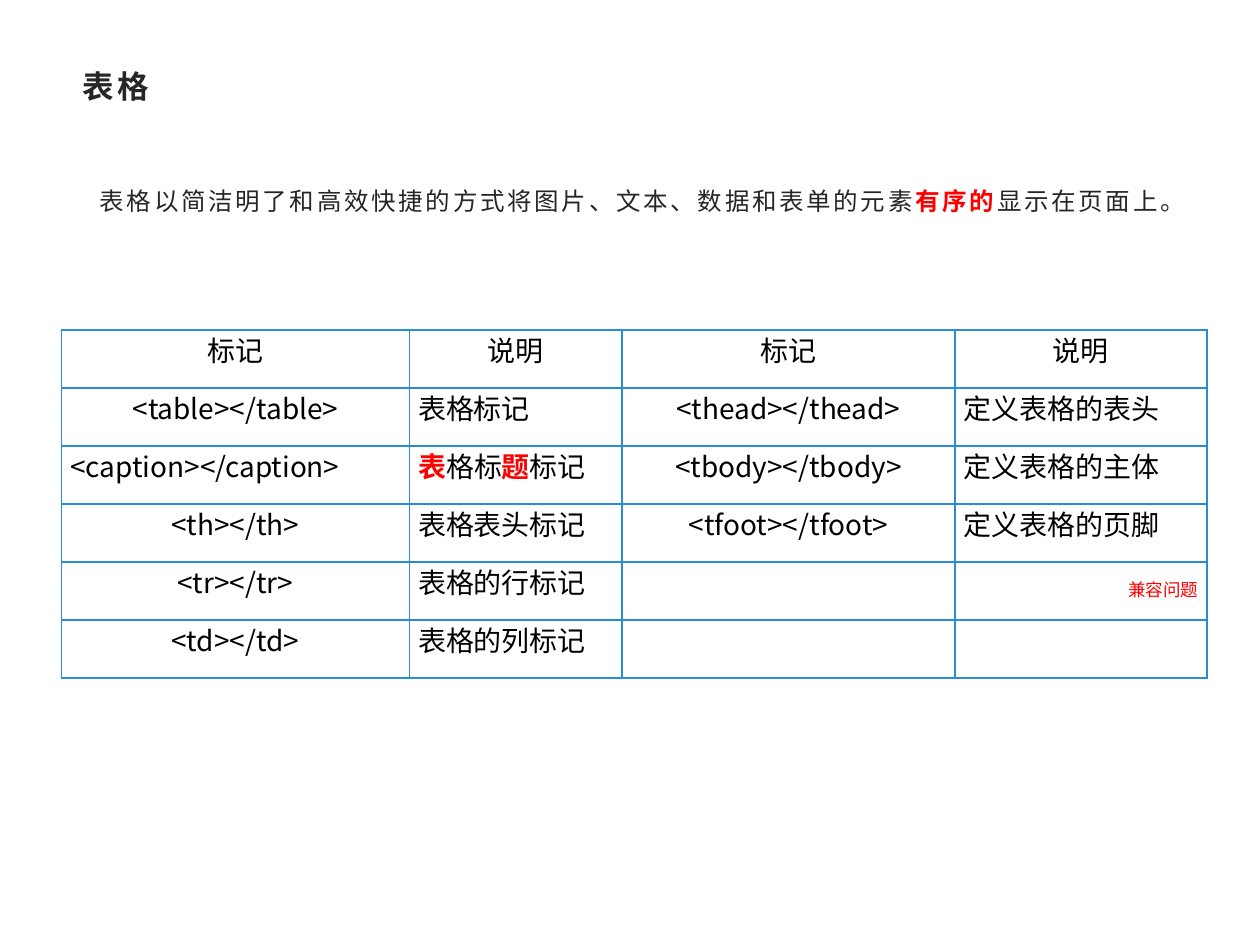
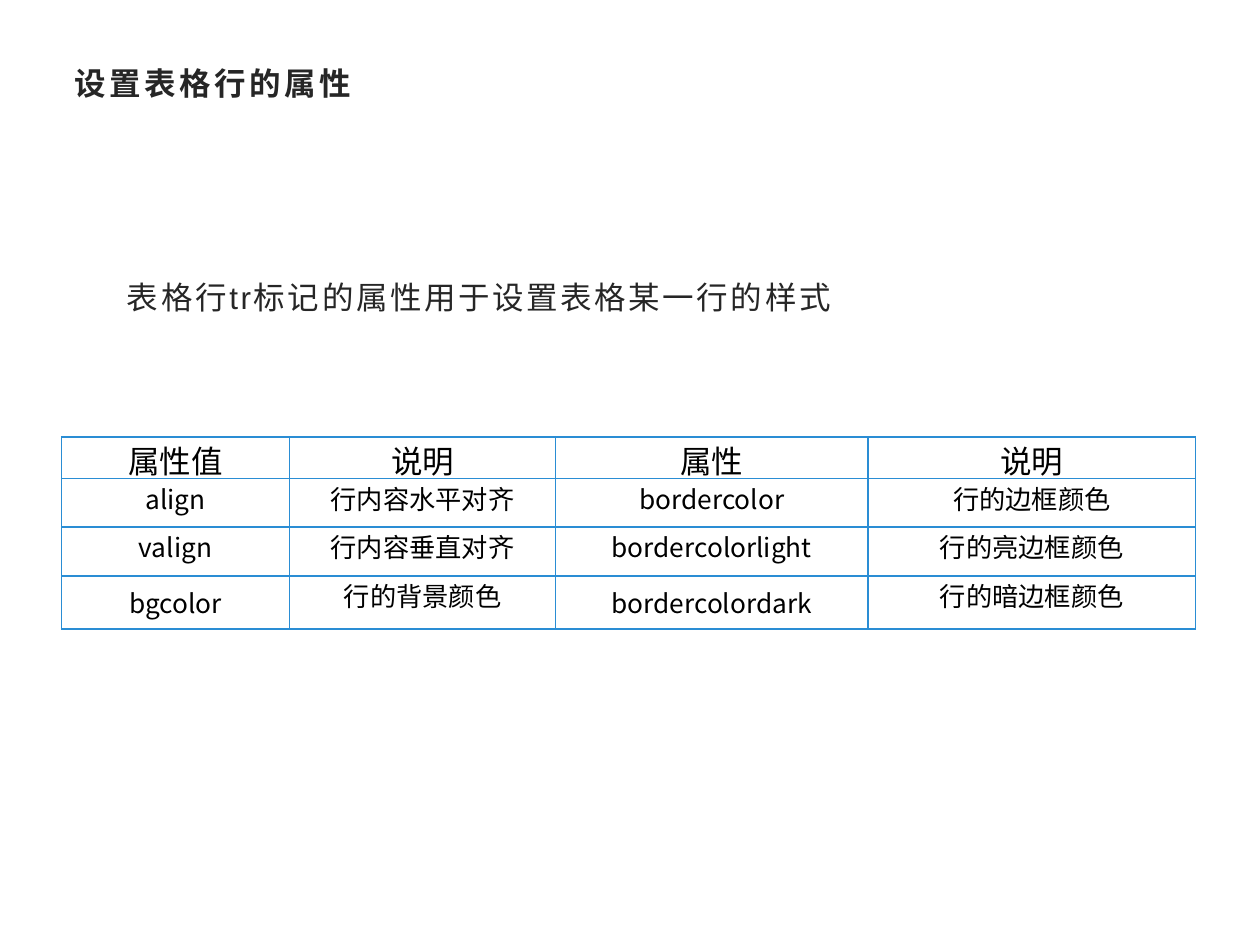
from lxml import etree
from pptx import Presentation
from pptx import util as u
from pptx.dml.color import RGBColor
from pptx.enum import text
from pptx.oxml import ns

INK = RGBColor(0x26, 0x26, 0x26)
BLACK = RGBColor(0x00, 0x00, 0x00)
RED = RGBColor(0xFF, 0x00, 0x00)
BORDER_BLUE = RGBColor(0x2A, 0x8D, 0xD4)
TEXT_FONT = "Arial"
TABLE_FONT = "Noto Sans CJK SC"
LEFT, CENTER, RIGHT = text.PP_ALIGN.LEFT, text.PP_ALIGN.CENTER, text.PP_ALIGN.RIGHT
TABLE_LEFT = 1.24

TAG_ROWS = [
    ["标记", "说明", "标记", "说明"],
    ["<table></table>", "表格标记", "<thead></thead>", "定义表格的表头"],
    ["<caption></caption>", "*表*格标*题*标记", "<tbody></tbody>", "定义表格的主体"],
    ["<th></th>", "表格表头标记", "<tfoot></tfoot>", "定义表格的页脚"],
    ["<tr></tr>", "表格的行标记", "", "兼容问题"],
    ["<td></td>", "表格的列标记", "", ""],
]
ROW_ATTRIBUTES = [
    ["属性值", "说明", "属性", "说明"],
    ["align", "行内容水平对齐", "bordercolor", "行的边框颜色"],
    ["valign", "行内容垂直对齐", "bordercolorlight", "行的亮边框颜色"],
    ["bgcolor", "行的背景颜色", "bordercolordark", "行的暗边框颜色"],
]


def write_paragraph(paragraph, wording, size, font_name, color, bold=False, spacing=0):
    """Write the wording, with the parts between asterisks in bold red."""
    paragraph.font.size = u.Pt(size)
    paragraph.font.name = font_name
    paragraph.font.color.rgb = color
    paragraph.font.bold = bold
    for index, part in enumerate(wording.split("*")):
        if not part:
            continue
        run = paragraph.add_run()
        run.text = part
        if index % 2:
            run.font.bold = True
            run.font.color.rgb = RED
        if spacing:
            run._r.get_or_add_rPr().set("spc", str(int(spacing * 100)))


def place_title(slide, box, wording):
    """Move the title placeholder to the box and write the title."""
    title = slide.shapes.title
    title.left, title.top, title.width, title.height = map(u.Cm, box)
    frame = title.text_frame
    frame.auto_size = text.MSO_AUTO_SIZE.NONE
    frame.vertical_anchor = text.MSO_ANCHOR.TOP
    paragraph = frame.paragraphs[0]
    paragraph.alignment = LEFT
    write_paragraph(paragraph, wording, 18, TEXT_FONT, INK, bold=True, spacing=2)


def add_introduction(slide, box, wording, size, line_spacing, inset):
    """Add the sentence that introduces the table."""
    frame = slide.shapes.add_textbox(*map(u.Cm, box)).text_frame
    frame.word_wrap = True
    frame.margin_left = u.Cm(inset)
    paragraph = frame.paragraphs[0]
    paragraph.line_spacing = line_spacing
    write_paragraph(paragraph, wording, size, TEXT_FONT, INK, spacing=1.5)


def add_borders(cell):
    """Draw a thin blue line on each side of the cell."""
    properties = cell._tc.get_or_add_tcPr()
    for index, side in enumerate(("lnL", "lnR", "lnT", "lnB")):
        line = etree.Element(ns.qn(f"a:{side}"), w=str(u.Pt(1)))
        fill = etree.SubElement(line, ns.qn("a:solidFill"))
        etree.SubElement(fill, ns.qn("a:srgbClr"), val=str(BORDER_BLUE))
        properties.insert(index, line)


def add_grid(slide, top, column_widths, row_heights, rows, header_size, body_size):
    """Add a plain bordered table with centred text and return it."""
    frame = slide.shapes.add_table(
        len(rows), len(column_widths), u.Cm(TABLE_LEFT), u.Cm(top),
        u.Cm(sum(column_widths)), u.Cm(sum(row_heights)))
    table = frame.table
    table.first_row = table.horz_banding = False
    for column, width in zip(table.columns, column_widths):
        column.width = u.Cm(width)
    for row_index, (row, height, wordings) in enumerate(zip(table.rows, row_heights, rows)):
        row.height = u.Cm(height)
        for cell, wording in zip(row.cells, wordings):
            cell.margin_left = cell.margin_right = u.Cm(0.18)
            cell.margin_top = cell.margin_bottom = 0
            cell.fill.background()
            add_borders(cell)
            paragraph = cell.text_frame.paragraphs[0]
            paragraph.alignment = CENTER
            size = body_size if row_index else header_size
            write_paragraph(paragraph, wording, size, TABLE_FONT, BLACK)
    return table


def add_title_slide(presentation, title_box, title):
    """Add a title-only slide and write its title."""
    slide = presentation.slides.add_slide(presentation.slide_layouts[5])
    place_title(slide, title_box, title)
    return slide


def build_tags_slide(presentation):
    """Build the slide that lists the table tags."""
    slide = add_title_slide(presentation, (1.4, 1.22, 22.6, 1.22), "表格")
    add_introduction(
        slide, (0.61, 3.5, 23.7, 3),
        "表格以简洁明了和高效快捷的方式将图片、文本、数据和表单的元素*有序的*显示在页面上。",
        14, 1.2, 1.4)
    table = add_grid(slide, 6.65, (7.01, 4.29, 6.71, 5.08), [1.17] * len(TAG_ROWS),
                     TAG_ROWS, 16, 16)
    for cell in table.iter_cells():
        cell.vertical_anchor = text.MSO_ANCHOR.MIDDLE
        cell.text_frame.paragraphs[0].line_spacing = u.Pt(12)
    for row in range(1, len(TAG_ROWS)):
        for column in (1, 3):
            table.cell(row, column).text_frame.paragraphs[0].alignment = LEFT
    table.cell(2, 0).text_frame.paragraphs[0].alignment = LEFT
    compatibility_note = table.cell(4, 3).text_frame.paragraphs[0]
    compatibility_note.alignment = RIGHT
    compatibility_note.font.size = u.Pt(10)
    compatibility_note.font.color.rgb = RED


def build_row_attributes_slide(presentation):
    """Build the slide that lists the attributes of a table row."""
    slide = add_title_slide(presentation, (1.24, 1.17, 21.56, 1.57), "设置表格行的属性")
    add_introduction(slide, (0.84, 5.26, 23.7, 2.34),
                     "表格行tr标记的属性用于设置表格某一行的样式", 18, 1.3, 1.72)
    table = add_grid(slide, 8.81, (4.6, 5.36, 6.3, 6.6), (0.84, 0.97, 0.99, 1.07),
                     ROW_ATTRIBUTES, 18, 15)
    for column in (0, 2):
        table.cell(3, column).vertical_anchor = text.MSO_ANCHOR.MIDDLE


def main():
    """Build and save the presentation."""
    presentation = Presentation()
    presentation.slide_width = u.Cm(25.4)
    presentation.slide_height = u.Cm(19.05)
    build_tags_slide(presentation)
    build_row_attributes_slide(presentation)
    presentation.save("out.pptx")


if __name__ == "__main__":
    main()
